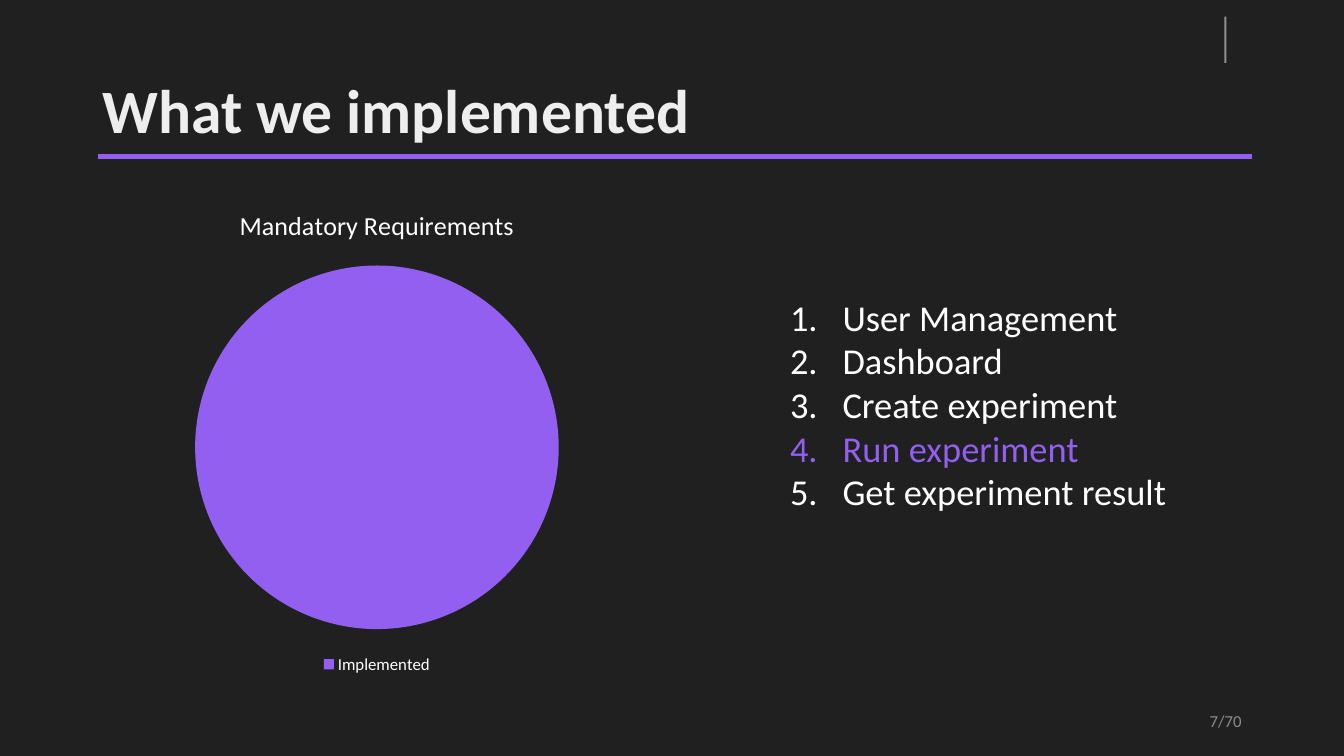
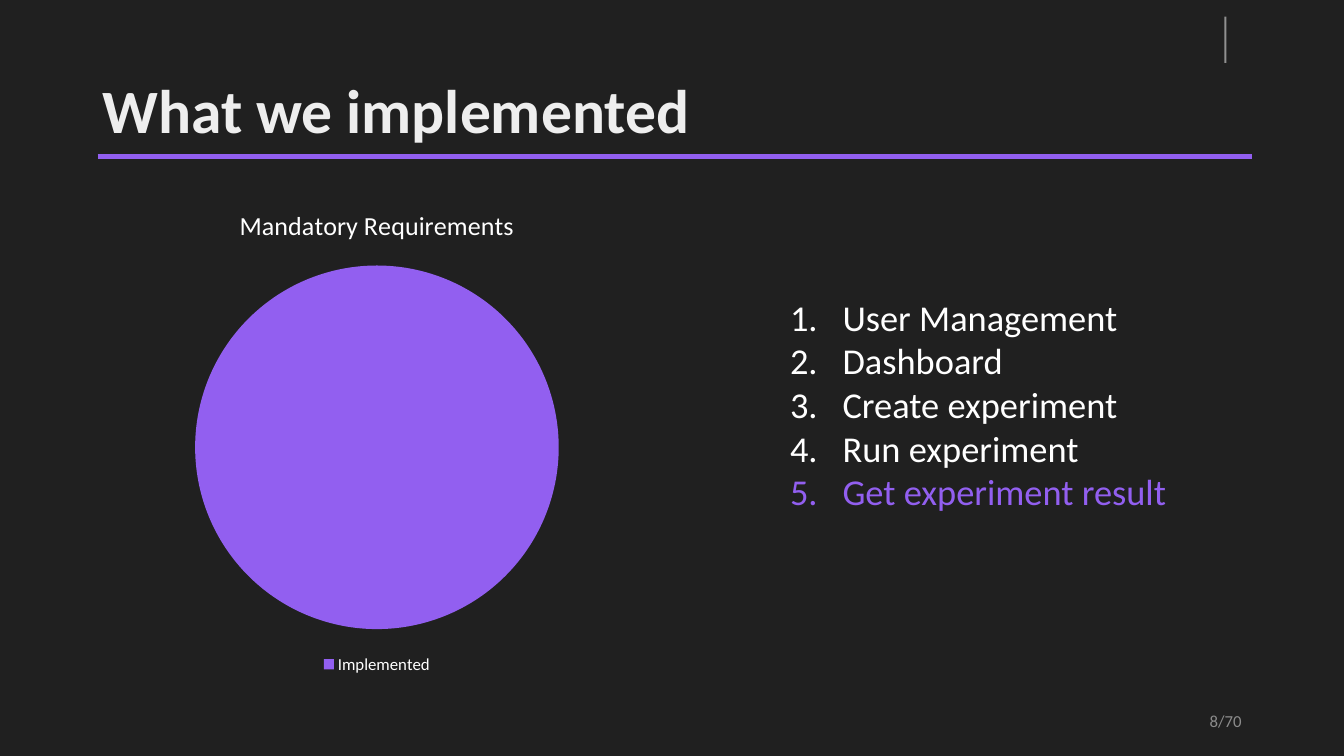
from dataclasses import dataclass

from lxml import etree
from pptx import Presentation
from pptx.chart.data import CategoryChartData
from pptx.dml.color import RGBColor
from pptx.enum.chart import XL_CHART_TYPE, XL_LEGEND_POSITION
from pptx.enum.shapes import MSO_CONNECTOR, MSO_SHAPE
from pptx.enum.text import MSO_ANCHOR, MSO_AUTO_SIZE, PP_ALIGN
from pptx.oxml.ns import qn
from pptx.util import Emu, Pt

PIE = XL_CHART_TYPE.PIE
BOTTOM = XL_LEGEND_POSITION.BOTTOM
LINE = MSO_CONNECTOR.STRAIGHT
RECT = MSO_SHAPE.RECTANGLE
MIDDLE = MSO_ANCHOR.MIDDLE
LEFT, RIGHT = PP_ALIGN.LEFT, PP_ALIGN.RIGHT
NO_FIT = MSO_AUTO_SIZE.NONE
TITLE_ONLY = 5
SCALE = 9525


@dataclass(frozen=True)
class Theme:
    face: str = "Calibri"
    back: str = "202020"
    accent: str = "925FF0"
    title: str = "EEEEEE"
    text: str = "FFFFFF"
    mark: str = "909090"
    page: str = "8C8C8C"
    title_pt: float = 44
    list_pt: float = 26
    chart_pt: float = 18.6
    small_pt: float = 12


THEME = Theme()
TOPICS = ["User Management", "Dashboard", "Create experiment",
          "Run experiment", "Get experiment result"]
PAGES = [(7, "Run experiment"), (8, "Get experiment result")]
TOTAL = 70


def px(*sizes):
    return [Emu(size * SCALE) for size in sizes]


def paint(fill, color):
    fill.solid()
    fill.fore_color.rgb = RGBColor.from_string(color)


def style(font, size, color, bold=False):
    font.name = THEME.face
    font.size = Pt(size)
    font.bold = bold
    font.color.rgb = RGBColor.from_string(color)


def add_title(slide, text):
    title = slide.shapes.title
    title.left, title.top, title.width, title.height = px(88, 38, 1104, 140)
    frame = title.text_frame
    frame.text = text
    frame.word_wrap = True
    frame.auto_size = NO_FIT
    frame.vertical_anchor = MIDDLE
    para = frame.paragraphs[0]
    para.alignment = LEFT
    para.line_spacing = 0.9
    style(para.font, THEME.title_pt, THEME.title, True)


def add_rule(slide):
    rule = slide.shapes.add_connector(LINE, *px(93, 149, 1192, 149))
    rule.line.width = Pt(3)
    paint(rule.line.fill, THEME.accent)
    etree.SubElement(rule._element.spPr, qn("a:effectLst"))


def add_mark(slide):
    mark = slide.shapes.add_shape(RECT, *px(1166, 16, 2, 44))
    mark.shadow.inherit = False
    paint(mark.fill, THEME.mark)
    mark.line.fill.background()


def add_box(slide, *place):
    frame = slide.shapes.add_textbox(*px(*place)).text_frame
    frame.word_wrap = True
    return frame


def add_page(slide, number):
    frame = add_box(slide, 904, 667, 288, 38)
    frame.vertical_anchor = MIDDLE
    frame.text = f"{number}/{TOTAL}"
    para = frame.paragraphs[0]
    para.alignment = RIGHT
    style(para.font, THEME.small_pt, THEME.page)


def set_number(para, color):
    props = para._p.get_or_add_pPr()
    indent = px(50)[0]
    props.set("marL", str(indent))
    props.set("indent", str(-indent))
    tint = etree.SubElement(props, qn("a:buClr"))
    etree.SubElement(tint, qn("a:srgbClr"), val=color)
    etree.SubElement(props, qn("a:buFont"), typeface=THEME.face)
    etree.SubElement(props, qn("a:buAutoNum"), type="arabicPeriod")


def add_list(slide, items, active):
    frame = add_box(slide, 743, 276, 414, 303)
    frame.text = "\n".join(items)
    for para, item in zip(frame.paragraphs, items):
        color = THEME.accent if item == active else THEME.text
        set_number(para, color)
        style(para.font, THEME.list_pt, color)


def set_plot(plot, **place):
    area = plot._element.getparent()
    for old in area.findall(qn("c:layout")):
        area.remove(old)
    layout = etree.Element(qn("c:layout"))
    area.insert(0, layout)
    manual = etree.SubElement(layout, qn("c:manualLayout"))
    modes = {"layoutTarget": "inner", "xMode": "edge", "yMode": "edge"}
    for tag, value in {**modes, **place}.items():
        etree.SubElement(manual, qn(f"c:{tag}"), val=str(value))


def add_pie(slide, name, values):
    data = CategoryChartData()
    data.categories = list(values)
    data.add_series(name, list(values.values()))
    chart = slide.shapes.add_chart(PIE, *px(87, 178, 544, 468), data).chart
    style(chart.font, THEME.small_pt, THEME.text)
    chart.has_title = True
    head = chart.chart_title.text_frame
    head.text = name
    style(head.paragraphs[0].font, THEME.chart_pt, THEME.text)
    chart.has_legend = True
    chart.legend.position = BOTTOM
    chart.legend.include_in_layout = False
    style(chart.legend.font, THEME.small_pt, THEME.text)
    plot = chart.plots[0]
    plot.vary_by_categories = True
    part = plot.series[0].points[0].format
    paint(part.fill, THEME.accent)
    part.line.fill.background()
    set_plot(plot, x=0.18, y=0.16, w=0.64, h=0.74)


def add_slide(deck, number, active):
    slide = deck.slides.add_slide(deck.slide_layouts[TITLE_ONLY])
    add_rule(slide)
    add_mark(slide)
    add_title(slide, "What we implemented")
    add_pie(slide, "Mandatory Requirements", {"Implemented": 100})
    add_list(slide, TOPICS, active)
    add_page(slide, number)


def main():
    deck = Presentation()
    deck.slide_width, deck.slide_height = px(1280, 720)
    paint(deck.slide_master.background.fill, THEME.back)
    for number, active in PAGES:
        add_slide(deck, number, active)
    deck.save("out.pptx")


if __name__ == "__main__":
    main()
